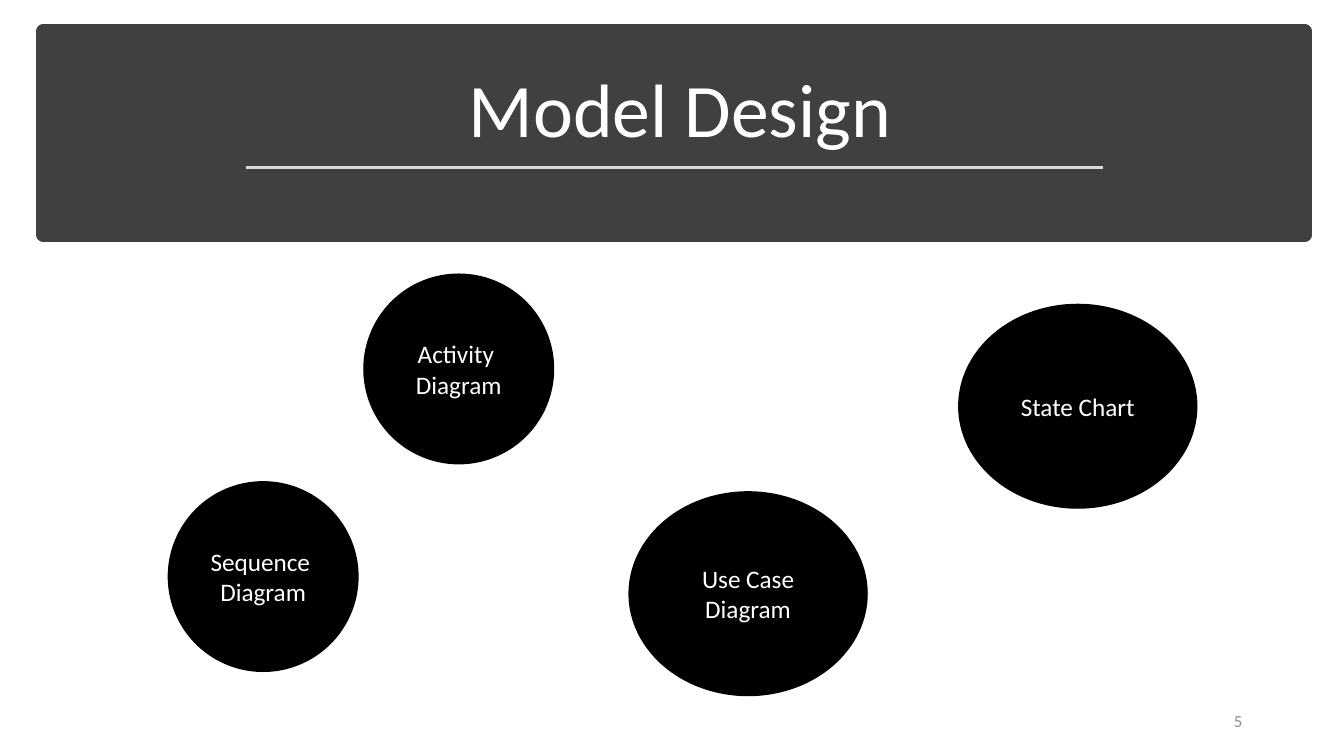
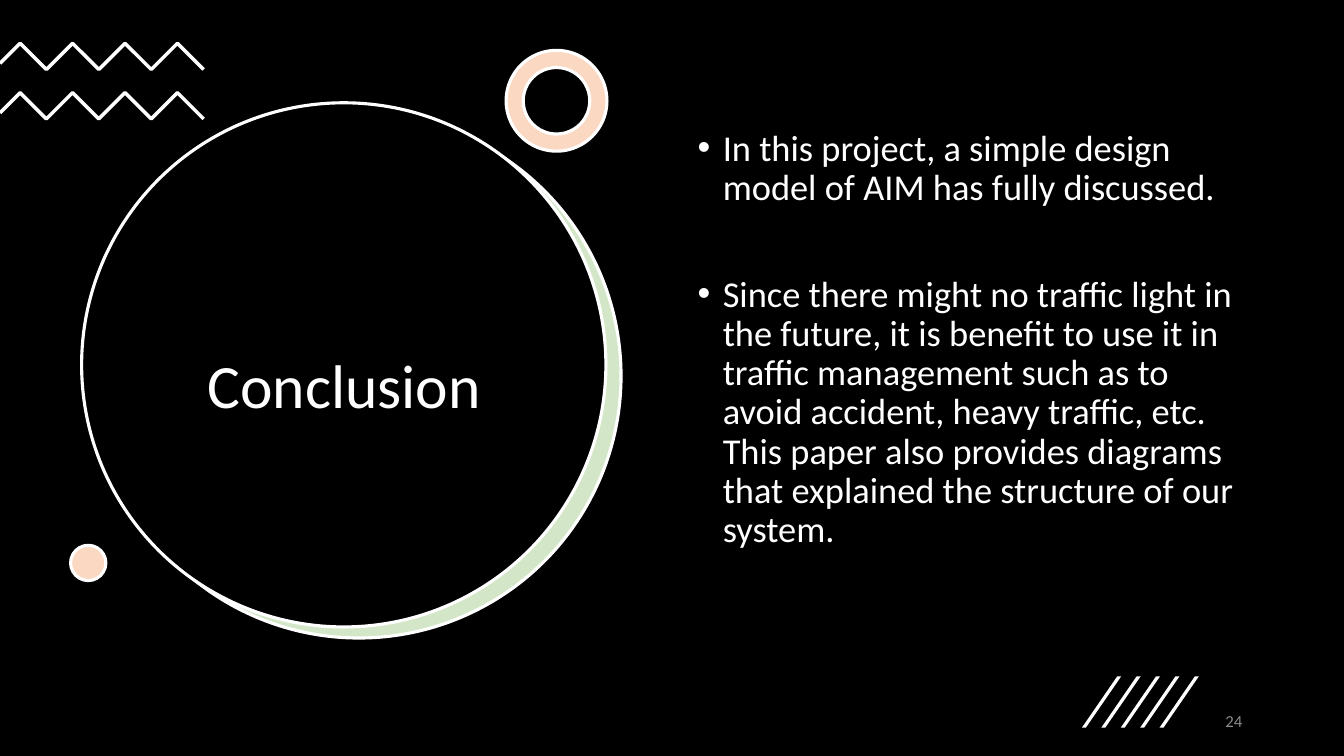
from lxml.etree import SubElement
from pptx import Presentation
from pptx.dml.color import RGBColor
from pptx.enum.shapes import MSO_CONNECTOR, MSO_SHAPE
from pptx.enum.text import MSO_ANCHOR, PP_ALIGN
from pptx.oxml.ns import qn
from pptx.util import Inches, Pt

WHITE = RGBColor(0xFF, 0xFF, 0xFF)
BLACK = RGBColor(0x00, 0x00, 0x00)
DARK = RGBColor(0x40, 0x40, 0x40)
RULE = RGBColor(0xD9, 0xD9, 0xD9)
GREY = RGBColor(0x8C, 0x8C, 0x8C)
GREEN = RGBColor(0xD4, 0xE6, 0xC8)
PEACH = RGBColor(0xFA, 0xD8, 0xC1)
FONT = "Calibri"
EDGE = 2.25


def inches(box):
    return [Inches(v) for v in box]


def style(para, size, color=WHITE, align=PP_ALIGN.CENTER):
    para.alignment = align
    font = para.font
    font.name, font.size, font.color.rgb = FONT, Pt(size), color


def add_form(slide, kind, box, fill, line=None, width=1):
    form = slide.shapes.add_shape(kind, *inches(box))
    form.shadow.inherit = False
    form.fill.solid()
    form.fill.fore_color.rgb = fill
    if line is None:
        form.line.fill.background()
    else:
        form.line.color.rgb = line
        form.line.width = Pt(width)
    return form


def add_text(slide, box, anchor=MSO_ANCHOR.MIDDLE):
    frame = slide.shapes.add_textbox(*inches(box)).text_frame
    frame.word_wrap = True
    frame.vertical_anchor = anchor
    return frame


def add_label(slide, box, text, size, color=WHITE, align=PP_ALIGN.CENTER):
    para = add_text(slide, box).paragraphs[0]
    para.text = text
    style(para, size, color, align)


def add_slide(deck, back, number):
    slide = deck.slides.add_slide(deck.slide_layouts[6])
    slide.background.fill.solid()
    slide.background.fill.fore_color.rgb = back
    add_label(slide, (9.42, 6.95, 3, 0.4), str(number), 12, GREY, PP_ALIGN.RIGHT)
    return slide


# Title band with a thin rule under the title
def add_band(slide, box, title):
    x, y, w, h = box
    add_form(slide, MSO_SHAPE.RECTANGLE, box, DARK, DARK, 10)
    ends = (x + 2.01, y + 1.35, x + w - 2, y + 1.35)
    rule = slide.shapes.add_connector(MSO_CONNECTOR.STRAIGHT, *inches(ends))
    rule.line.color.rgb = RULE
    rule.line.width = Pt(1.75)
    SubElement(rule._element.spPr, qn("a:effectLst"))
    add_label(slide, (x + 2.98, y + 0.25, 6.67, 1.01), title, 54)


def add_bubble(slide, box, text):
    form = add_form(slide, MSO_SHAPE.OVAL, box, BLACK, BLACK)
    frame = form.text_frame
    frame.vertical_anchor = MSO_ANCHOR.MIDDLE
    frame.text = text
    for para in frame.paragraphs:
        style(para, 18)


# Large disc with a green crescent behind it
def add_disc(slide, box, title):
    x, y, w, h = box
    for dx, dy, fill in ((0.15, 0.11, GREEN), (0, 0, BLACK)):
        add_form(slide, MSO_SHAPE.OVAL, (x + dx, y + dy, w, h), fill, WHITE, EDGE)
    add_label(slide, (x + 0.4, y + 1.03, 4.41, 3.52), title, 44)


# Zigzag running in from the left edge of the slide
def add_zigzag(slide, x, y, step=0.26, teeth=8):
    peaks = [(x + i * step, y + i % 2 * step) for i in range(teeth)]
    pen = slide.shapes.build_freeform(Inches(0), Inches(y + x), scale=1.0)
    pen.add_line_segments([inches(p) for p in peaks], close=False)
    form = pen.convert_to_shape()
    form.shadow.inherit = False
    form.fill.background()
    form.line.color.rgb = WHITE
    form.line.width = Pt(2.5)


def add_slashes(slide, box, count=5):
    x, y, w, h = box
    wide = 0.39
    gap = (w - wide) / (count - 1)
    for i in range(count):
        bar = add_form(slide, MSO_SHAPE.PARALLELOGRAM, (x + i * gap, y, wide, h), WHITE)
        bar.adjustments[0] = 0.9


def add_bullets(slide, box, items, gap=48):
    frame = add_text(slide, box, MSO_ANCHOR.TOP)
    for i, item in enumerate(items):
        para = frame.add_paragraph() if i else frame.paragraphs[0]
        para.text = item
        props = para._p.get_or_add_pPr()
        props.set("marL", str(Inches(0.25)))
        props.set("indent", str(Inches(-0.25)))
        SubElement(props, qn("a:buFont")).set("typeface", "Arial")
        SubElement(props, qn("a:buChar")).set("char", "•")
        style(para, 26, align=PP_ALIGN.LEFT)
        para.line_spacing = 0.9
        if i:
            para.space_before = Pt(gap)


def add_model(deck):
    slide = add_slide(deck, WHITE, 5)
    add_band(slide, (0.43, 0.31, 12.51, 2.02), "Model Design")
    small, large = (1.88, 1.88), (2.36, 2.02)
    for x, y, size, text in (
        (3.61, 2.72, small, "Activity \vDiagram"),
        (1.67, 4.78, small, "Sequence \vDiagram"),
        (9.51, 3.02, large, "State Chart"),
        (6.24, 4.88, large, "Use Case\vDiagram"),
    ):
        add_bubble(slide, (x, y, *size), text)


def add_closing(deck):
    slide = add_slide(deck, BLACK, 24)
    add_disc(slide, (0.81, 1.02, 5.2, 5.2), "Conclusion")
    # Ornaments
    for y in (0.43, 0.92):
        add_zigzag(slide, 0.2, y)
    ring = add_form(slide, MSO_SHAPE.DONUT, (5.02, 0.5, 1, 1), PEACH, WHITE, EDGE)
    ring.adjustments[0] = 0.17
    add_form(slide, MSO_SHAPE.OVAL, (0.7, 5.41, 0.35, 0.35), PEACH, WHITE, EDGE)
    add_slashes(slide, (10.73, 6.71, 1.16, 0.51))
    # Findings
    add_bullets(slide, (6.82, 1.24, 5.71, 4.76), (
        "In this project, a simple design model of AIM has fully discussed.",
        "Since there might no traffic light in the future, it is benefit to use it "
        "in traffic management such as to avoid accident, heavy traffic, etc. This "
        "paper also provides diagrams that explained the structure of our system.",
    ))


def main():
    deck = Presentation()
    deck.slide_width, deck.slide_height = Inches(13.33), Inches(7.5)
    add_model(deck)
    add_closing(deck)
    deck.save("out.pptx")


if __name__ == "__main__":
    main()
